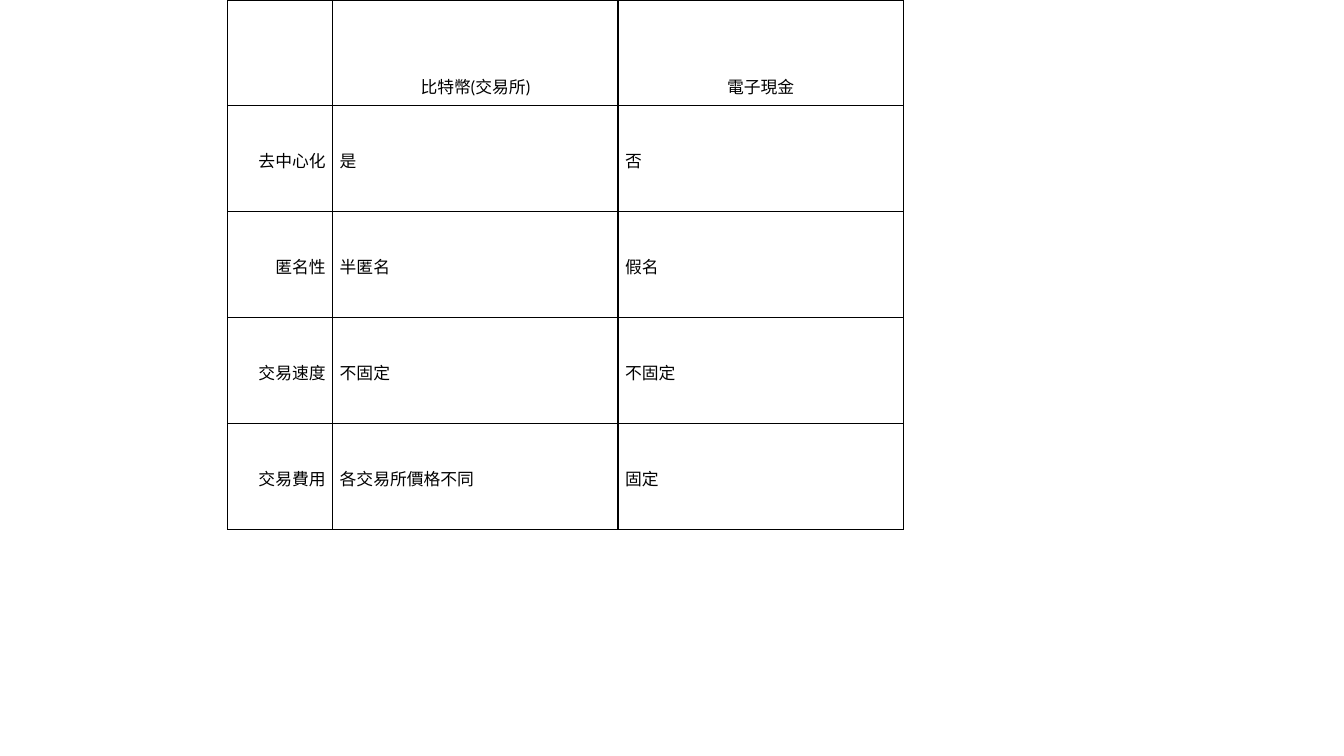
from dataclasses import dataclass

from lxml.etree import SubElement
from pptx import Presentation
from pptx.dml.color import RGBColor
from pptx.enum.text import MSO_ANCHOR, PP_ALIGN
from pptx.oxml.ns import qn
from pptx.util import Inches, Pt

COMPARISON = [
    ("", "比特幣(交易所)", "電子現金"),
    ("去中心化", "是", "否"),
    ("匿名性", "半匿名", "假名"),
    ("交易速度", "不固定", "不固定"),
    ("交易費用", "各交易所價格不同", "固定"),
]


@dataclass(frozen=True)
class Theme:
    font: str = "Cabin"
    size: int = 12
    ink: str = "000000"
    border: int = 1
    line_spacing: float = 1.15


THEME = Theme()
SLIDE_WIDTH, SLIDE_HEIGHT = 13.33, 7.5
TABLE_LEFT, TABLE_TOP = 2.26, 0
COLUMN_WIDTHS = (1.04, 2.83, 2.83)
ROW_HEIGHT = 1.05
CELL_MARGIN = Inches(0.07)


def add_borders(cell):
    properties = cell._tc.get_or_add_tcPr()
    for side in ("lnL", "lnR", "lnT", "lnB"):
        line = SubElement(properties, qn(f"a:{side}"), w=str(Pt(THEME.border)))
        fill = SubElement(line, qn("a:solidFill"))
        SubElement(fill, qn("a:srgbClr"), val=THEME.ink)


def fill_cell(cell, text, row, column):
    add_borders(cell)
    cell.fill.background()
    cell.margin_left = cell.margin_right = CELL_MARGIN
    cell.margin_top = cell.margin_bottom = CELL_MARGIN
    cell.vertical_anchor = MSO_ANCHOR.BOTTOM if row == 0 else MSO_ANCHOR.MIDDLE
    cell.text = text
    para = cell.text_frame.paragraphs[0]
    if row == 0:
        para.alignment = PP_ALIGN.CENTER
    else:
        para.alignment = PP_ALIGN.RIGHT if column == 0 else PP_ALIGN.LEFT
    para.line_spacing = THEME.line_spacing
    para.font.name = THEME.font
    para.font.size = Pt(THEME.size)
    para.font.color.rgb = RGBColor.from_string(THEME.ink)


def main():
    deck = Presentation()
    deck.slide_width = Inches(SLIDE_WIDTH)
    deck.slide_height = Inches(SLIDE_HEIGHT)
    page = deck.slides.add_slide(deck.slide_layouts[6])
    table = page.shapes.add_table(
        len(COMPARISON), len(COLUMN_WIDTHS),
        Inches(TABLE_LEFT), Inches(TABLE_TOP),
        Inches(sum(COLUMN_WIDTHS)), Inches(ROW_HEIGHT * len(COMPARISON)),
    ).table
    table.first_row = table.horz_banding = False
    for column, width in zip(table.columns, COLUMN_WIDTHS):
        column.width = Inches(width)
    for row, texts in enumerate(COMPARISON):
        table.rows[row].height = Inches(ROW_HEIGHT)
        for column, text in enumerate(texts):
            fill_cell(table.cell(row, column), text, row, column)
    deck.save("out.pptx")


if __name__ == "__main__":
    main()
